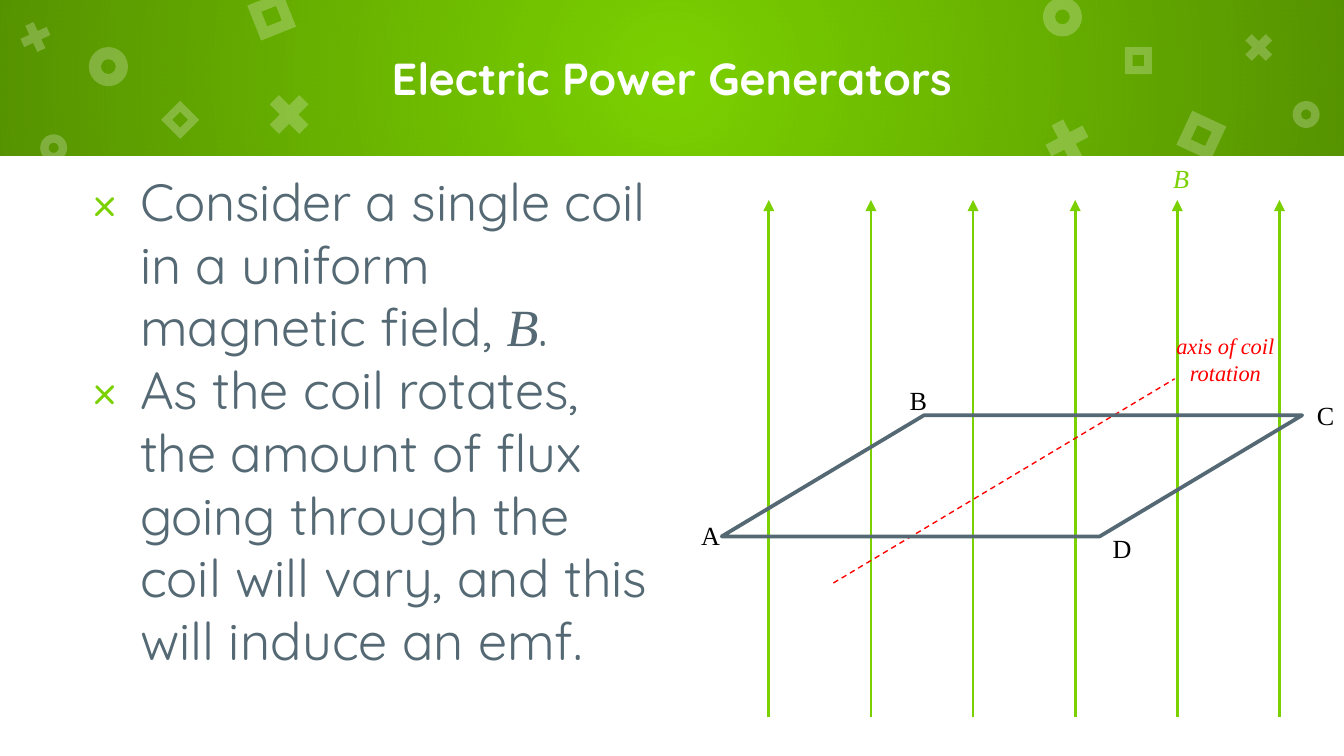
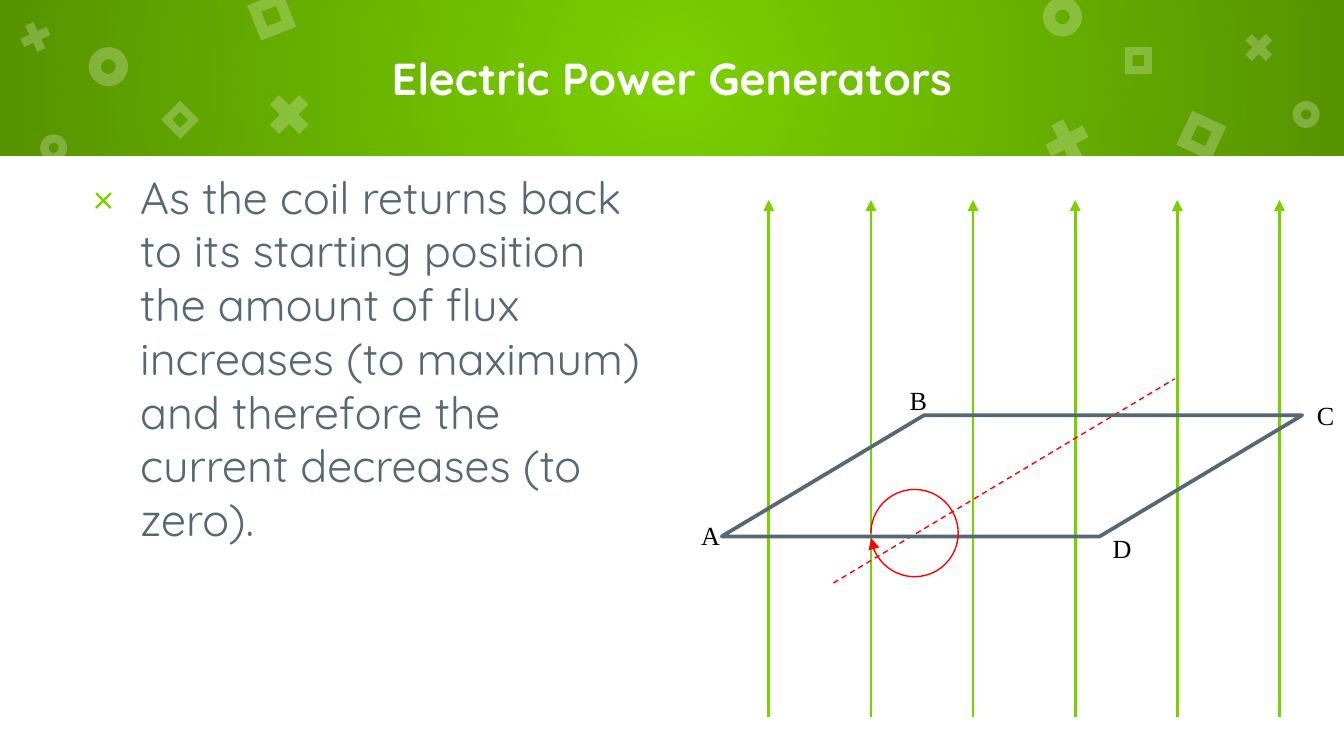
from lxml import etree
from pptx import Presentation
from pptx.dml.color import RGBColor
from pptx.enum.dml import MSO_LINE
from pptx.enum.shapes import MSO_CONNECTOR, MSO_SHAPE
from pptx.enum.text import MSO_ANCHOR, MSO_AUTO_SIZE, PP_ALIGN
from pptx.oxml import parse_xml
from pptx.oxml.ns import nsdecls, qn
from pptx.util import Cm, Pt

RECT = MSO_SHAPE.RECTANGLE
DONUT = MSO_SHAPE.DONUT
CROSS = MSO_SHAPE.MATH_MULTIPLY
FRAME = MSO_SHAPE.FRAME
ARC = MSO_SHAPE.ARC
COIL = MSO_SHAPE.PARALLELOGRAM
STRAIGHT = MSO_CONNECTOR.STRAIGHT
DASH = MSO_LINE.DASH
CENTER = PP_ALIGN.CENTER
MIDDLE = MSO_ANCHOR.MIDDLE
GROW = MSO_AUTO_SIZE.SHAPE_TO_FIT_TEXT

COLORS = {
    "green": "7BD100",
    "white": "FFFFFF",
    "black": "000000",
    "slate": "546973",
    "red": "FF0000",
}
SANS = "Quicksand"
SERIF = "Times New Roman"
WIDTH, HEIGHT, BAND = 25.4, 14.29, 2.95
TITLE = "Electric Power Generators"

MARK_ADJUST = {DONUT: 0.31, CROSS: 0.23, FRAME: 0.29}
MARKS = [
    (DONUT, 1.68, 0.89, 0.74, 0),
    (CROSS, 4.93, 1.63, 1.07, 0),
    (FRAME, 4.78, -0.05, 0.71, 338.4),
    (DONUT, 19.71, -0.05, 0.74, 0),
    (CROSS, 19.63, 2.13, 1.07, 17.5),
    (FRAME, 22.35, 2.21, 0.71, 25),
    (DONUT, 0.76, 2.54, 0.51, 0),
    (CROSS, 0.3, 0.33, 0.74, 20.4),
    (FRAME, 3.15, 2.01, 0.51, 45),
    (DONUT, 24.43, 1.91, 0.51, 0),
    (CROSS, 23.42, 0.53, 0.74, 0),
    (FRAME, 21.26, 0.89, 0.51, 0),
]
CORNERS = [("A", 13, 9.7), ("B", 16.94, 7.14), ("C", 24.64, 7.42), ("D", 20.78, 9.93)]


def rgb(name):
    return RGBColor.from_string(COLORS[name])


def set_attrs(target, values):
    for name, value in values.items():
        setattr(target, name, value)


def add_shape(s, kind, box, fill=None, line=None, width=1):
    sp = s.shapes.add_shape(kind, *map(Cm, box))
    sp.shadow.inherit = False
    if fill:
        sp.fill.solid()
        sp.fill.fore_color.rgb = rgb(fill)
    else:
        sp.fill.background()
    if line:
        sp.line.color.rgb = rgb(line)
        sp.line.width = Pt(width)
    else:
        sp.line.fill.background()
    return sp


def add_arrowhead(sp):
    ln = sp.line._get_or_add_ln()
    etree.SubElement(ln, qn("a:tailEnd"), type="triangle")


def add_line(shapes, start, end, color, width):
    line = shapes.add_connector(STRAIGHT, *map(Cm, start + end))
    line.line.color.rgb = rgb(color)
    line.line.width = Pt(width)
    etree.SubElement(line._element.spPr, qn("a:effectLst"))
    return line


def add_run(p, text, size, font, color, **style):
    r = p.add_run()
    r.text = text
    set_attrs(r.font, {"size": Pt(size), "name": font, **style})
    r.font.color.rgb = rgb(color)


def add_text_frame(s, box, inset=None, **style):
    tf = s.shapes.add_textbox(*map(Cm, box)).text_frame
    set_attrs(tf, {"word_wrap": True, **style})
    if inset:
        sides = ("left", "top", "right", "bottom")
        set_attrs(tf, {f"margin_{side}": Cm(inset) for side in sides})
    return tf


def add_label(s, text, box, size=14, color="black", **style):
    tf = add_text_frame(s, box, auto_size=GROW)
    p = tf.paragraphs[0]
    p.alignment = CENTER
    add_run(p, text, size, SERIF, color, **style)


def add_gradient(sp):
    pr = sp._element.spPr
    pr.remove(pr.find(qn("a:noFill")))
    stops = "".join(
        f'<a:gs pos="{pos}"><a:srgbClr val="{COLORS["black"]}">'
        f'<a:alpha val="{alpha}"/></a:srgbClr></a:gs>'
        for pos, alpha in ((0, 0), (100000, 30000))
    )
    gradient = parse_xml(
        f'<a:gradFill {nsdecls("a")}><a:gsLst>{stops}</a:gsLst>'
        '<a:path path="circle"><a:fillToRect l="50000" t="50000" r="50000" b="50000"/>'
        "</a:path></a:gradFill>"
    )
    pr.find(qn("a:prstGeom")).addnext(gradient)


def add_mark(s, kind, left, top, size, rotation):
    sp = add_shape(s, kind, (left, top, size, size), fill="white")
    sp.adjustments[0] = MARK_ADJUST[kind]
    sp.rotation = rotation
    color = sp._element.spPr.find(qn("a:solidFill"))[0]
    etree.SubElement(color, qn("a:alpha"), val="24000")


def add_title(s, text):
    tf = add_text_frame(s, (2.41, 0, 20.57, BAND), 0.25, vertical_anchor=MIDDLE)
    p = tf.paragraphs[0]
    p.alignment = CENTER
    add_run(p, text, 24, SANS, "white", bold=True)


def add_bullets(s, items, size):
    tf = add_text_frame(s, (1.22, BAND, 11.48, 10.72), 0.25)
    for i, runs in enumerate(items):
        p = tf.add_paragraph() if i else tf.paragraphs[0]
        pr = p._p.get_or_add_pPr()
        pr.set("marL", str(Cm(1.18)))
        pr.set("indent", str(Cm(-0.88)))
        color = etree.SubElement(pr, qn("a:buClr"))
        etree.SubElement(color, qn("a:srgbClr"), val=COLORS["green"])
        etree.SubElement(pr, qn("a:buFont"), typeface=SANS)
        etree.SubElement(pr, qn("a:buChar"), char="×")
        for text, font, italic in runs:
            add_run(p, text, size, font, "slate", italic=italic)


def add_field(s):
    group = s.shapes.add_group_shape()
    for i in range(6):
        x = 14.53 + 1.93 * i
        add_arrowhead(add_line(group.shapes, (x, 13.56), (x, 3.78), "green", 1.5))


def add_coil(s):
    axis = add_line(s.shapes, (15.75, 11.02), (22.2, 7.16), "red", 0.75)
    axis.line.dash_style = DASH
    coil = add_shape(s, COIL, (13.64, 7.85, 10.97, 2.29), line="slate", width=2)
    coil.adjustments[0] = 1.67
    for text, left, top in CORNERS:
        add_label(s, text, (left, top, 0.66, 0.86))


def add_rotation_arrow(s):
    arc = add_shape(s, ARC, (16.46, 9.25, 1.65, 1.65), line="red", width=0.75)
    arc.adjustments[0] = 162
    arc.adjustments[1] = 158
    arc.rotation = 270
    add_arrowhead(arc)


def add_generator_slide(prs, items, size):
    s = prs.slides.add_slide(prs.slide_layouts[6])
    s.background.fill.solid()
    s.background.fill.fore_color.rgb = rgb("green")
    add_gradient(add_shape(s, RECT, (0, 0, WIDTH, BAND)))
    for mark in MARKS:
        add_mark(s, *mark)
    add_shape(s, RECT, (0, BAND, WIDTH, HEIGHT - BAND), fill="white")
    add_title(s, TITLE)
    add_bullets(s, items, size)
    add_field(s)
    add_coil(s)
    return s


def main():
    prs = Presentation()
    prs.slide_width, prs.slide_height = Cm(WIDTH), Cm(HEIGHT)

    s = add_generator_slide(prs, [
        [("Consider a single coil in a uniform magnetic field, ", SANS, False),
         ("B", SERIF, True), (".", SANS, False)],
        [("As the coil rotates, the amount of flux going through the coil will vary, "
          "and this will induce an emf.", SANS, False)],
    ], 28)
    add_label(s, "B", (21.92, BAND, 0.66, 0.86), color="green", italic=True)
    add_label(s, "axis of coil rotation", (21.46, 6.15, 3.4, 1.27), 12, "red", italic=True)

    s = add_generator_slide(prs, [
        [("As the coil returns back to its starting position the amount of flux increases "
          "(to maximum) and therefore the current decreases (to zero).", SANS, False)],
    ], 24)
    add_rotation_arrow(s)

    prs.save("out.pptx")


if __name__ == "__main__":
    main()
